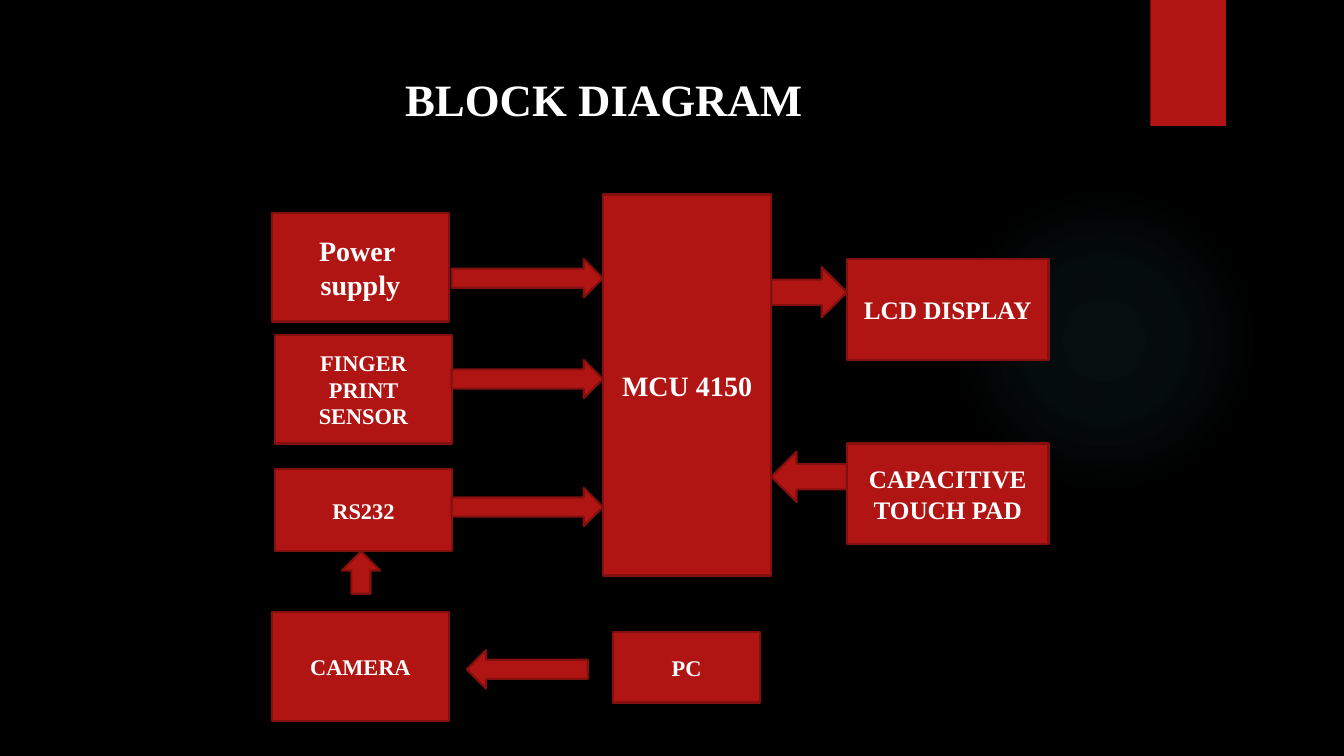
from lxml import etree
from pptx import Presentation
from pptx.dml.color import RGBColor
from pptx.enum.shapes import MSO_SHAPE
from pptx.enum.text import MSO_ANCHOR, MSO_AUTO_SIZE, PP_ALIGN
from pptx.oxml import parse_xml
from pptx.util import Pt

RECT, OVAL = MSO_SHAPE.RECTANGLE, MSO_SHAPE.OVAL
RIGHT, LEFT, UP = MSO_SHAPE.RIGHT_ARROW, MSO_SHAPE.LEFT_ARROW, MSO_SHAPE.UP_ARROW
CENTER, ALIGN_LEFT = PP_ALIGN.CENTER, PP_ALIGN.LEFT
MIDDLE, TOP = MSO_ANCHOR.MIDDLE, MSO_ANCHOR.TOP
GROW = MSO_AUTO_SIZE.SHAPE_TO_FIT_TEXT
EMU_PER_PX = 9144
NS = "http://schemas.openxmlformats.org/drawingml/2006/main"


def px(n):
    return n * EMU_PER_PX


def color(hex_string):
    return RGBColor.from_string(hex_string)


def write(tf, text, size=16, font="Times New Roman", fill="FFFFFF", bold=True,
          align=CENTER, anchor=MIDDLE):
    tf.word_wrap = True
    tf.vertical_anchor = anchor
    for i, line in enumerate(text.split("\n")):
        p = tf.add_paragraph() if i else tf.paragraphs[0]
        p.alignment = align
        r = p.add_run()
        r.text = line
        r.font.size = Pt(size)
        r.font.name = font
        r.font.bold = bold
        r.font.color.rgb = color(fill)


class Diagram:
    """Draws the elements of a block diagram on one slide in one style."""

    def __init__(self, slide, back="000000", fill="B01513", line="82100E"):
        self.slide, self.fill, self.line = slide, fill, line
        slide.background.fill.solid()
        slide.background.fill.fore_color.rgb = color(back)

    def shape(self, kind, x, y, w, h, outlined=True):
        sp = self.slide.shapes.add_shape(kind, px(x), px(y), px(w), px(h))
        sp.shadow.inherit = False
        sp.fill.solid()
        sp.fill.fore_color.rgb = color(self.fill)
        if outlined:
            sp.line.color.rgb = color(self.line)
            sp.line.width = Pt(1.5)
        else:
            sp.line.fill.background()
        return sp

    def block(self, text, x, y, w, h, size=16):
        write(self.shape(RECT, x, y, w, h).text_frame, text, size=size)

    def title(self, text, x, y, w, h):
        tf = self.slide.shapes.add_textbox(px(x), px(y), px(w), px(h)).text_frame
        write(tf, text, size=32, align=ALIGN_LEFT, anchor=TOP)
        tf.auto_size = GROW

    def glow(self, x, y, d, tint, stops):
        sp = self.shape(OVAL, x, y, d, d, outlined=False)
        gs = "".join(
            f'<a:gs pos="{pos * 1000}"><a:srgbClr val="{tint}">'
            f'<a:alpha val="{alpha * 1000}"/></a:srgbClr></a:gs>'
            for pos, alpha in stops)
        grad = parse_xml(
            f'<a:gradFill xmlns:a="{NS}"><a:gsLst>{gs}</a:gsLst><a:path path="circle">'
            '<a:fillToRect l="50000" t="50000" r="50000" b="50000"/></a:path></a:gradFill>')
        solid = sp.element.spPr.find(etree.QName(NS, "solidFill"))
        sp.element.spPr.replace(solid, grad)


def main():
    prs = Presentation()
    prs.slide_width, prs.slide_height = px(1333), px(750)
    d = Diagram(prs.slides.add_slide(prs.slide_layouts[6]))

    d.glow(941, 183, 308, "50B9C1", [(0, 7), (36, 6), (69, 0)])
    d.shape(RECT, 1141, 0, 75, 125, outlined=False)
    d.title("BLOCK DIAGRAM", 392, 66, 500, 64)

    for text, x, y, w, h, size in [
        ("Power \nsupply", 270, 211, 175, 108, 20),
        ("FINGER PRINT SENSOR", 273, 332, 175, 108, 16),
        ("RS232", 273, 465, 175, 82, 16),
        ("CAMERA", 270, 607, 175, 108, 16),
        ("PC", 608, 627, 146, 70, 16),
        ("MCU 4150", 598, 193, 167, 378, 20),
        ("LCD DISPLAY", 840, 257, 200, 100, 18),
        ("CAPACITIVE TOUCH PAD", 840, 440, 200, 100, 18),
    ]:
        d.block(text, x, y, w, h, size)

    for y in (257, 357, 484):
        d.shape(RIGHT, 448, y, 150, 38)
    d.shape(RIGHT, 765, 265, 75, 50)
    d.shape(LEFT, 765, 448, 75, 50)
    d.shape(LEFT, 463, 645, 120, 38)
    d.shape(UP, 339, 547, 38, 42)

    prs.save("out.pptx")


if __name__ == "__main__":
    main()
